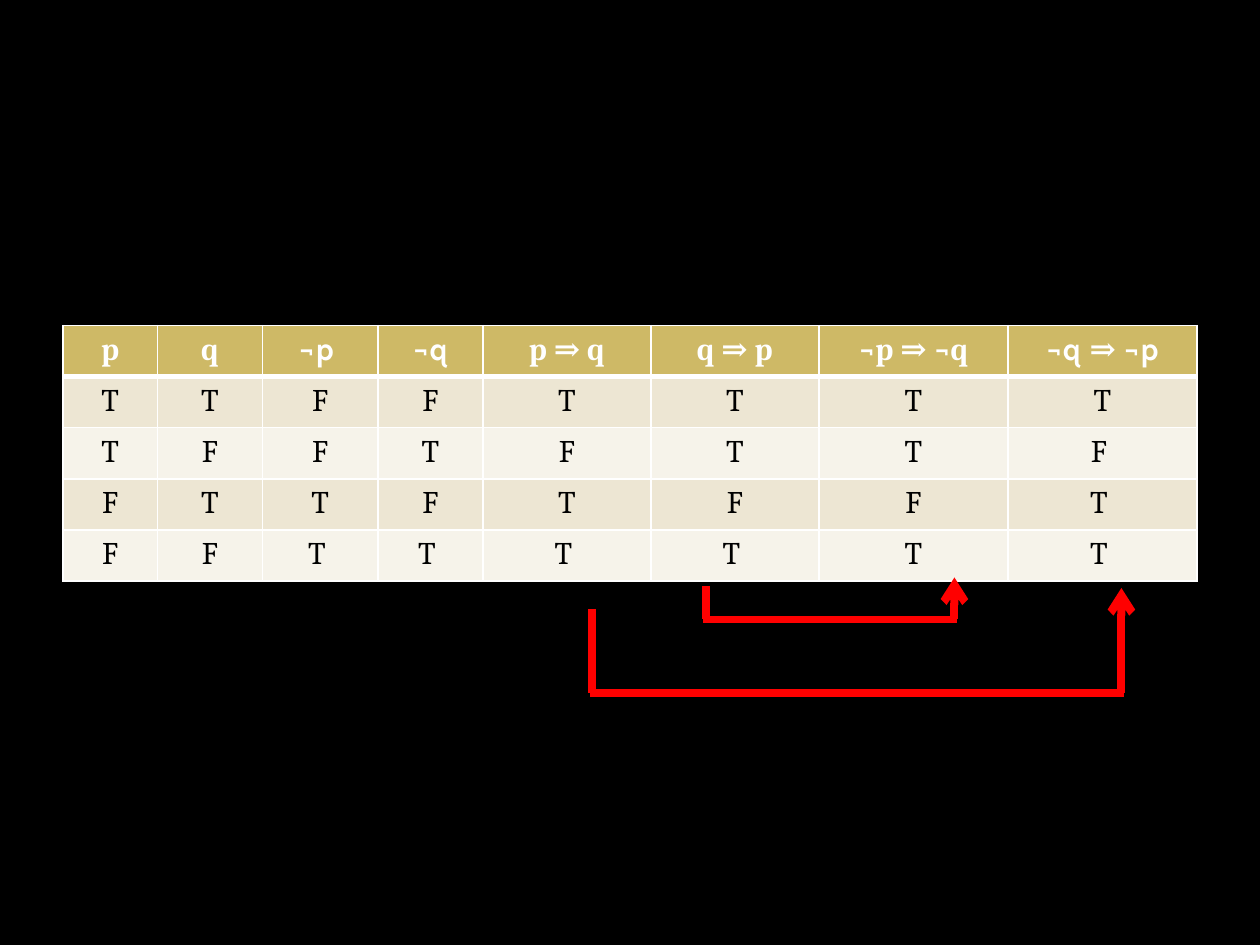
import pptx
import pptx.dml.color
import pptx.enum.shapes
import pptx.enum.text
import pptx.oxml.ns
import pptx.util
from lxml import etree

RGBColor = pptx.dml.color.RGBColor
BLACK = RGBColor(0x00, 0x00, 0x00)
WHITE = RGBColor(0xFF, 0xFF, 0xFF)
GOLD = RGBColor(0xCE, 0xB9, 0x66)
SAND = RGBColor(0xED, 0xE6, 0xD3)
CREAM = RGBColor(0xF6, 0xF3, 0xEA)
RED = RGBColor(0xFF, 0x00, 0x00)

SERIF = "Cambria"
SANS = "Karla"

# Column widths in grid units; each heading is a list of (text, font) runs
COLUMN_WIDTHS = [9, 10, 11, 10, 16, 16, 18, 18]
HEADINGS = [
    [("p", SERIF)],
    [("q", SERIF)],
    [("¬p ", SANS)],
    [("¬q", SANS)],
    [("p ⇒ q", SERIF)],
    [("q ⇒ p", SERIF)],
    [("¬", SANS), ("p ⇒ ", SERIF), ("¬", SANS), ("q", SERIF)],
    [("¬q ", SANS), ("⇒ ", SERIF), ("¬p", SANS)],
]
TRUTH_VALUES = [
    ["T", "T", "F", "F", "T", "T", "T", "T"],
    ["T", "F", "F", "T", "F", "T", "T", "F "],
    ["F", "T", "T", "F", "T", "F", "F", "T "],
    ["F", "F", "T ", "T ", "T ", "T ", "T", "T "],
]


class TruthTableSlide:
    """Style and current slide, on a grid of twelve units to the inch."""

    text_size = pptx.util.Pt(18)
    line_width = pptx.util.Pt(4.5)

    def __init__(self, presentation):
        self.slide = presentation.slides.add_slide(presentation.slide_layouts[6])
        self.unit = presentation.slide_width / 120
        fill = self.slide.background.fill
        fill.solid()
        fill.fore_color.rgb = BLACK

    def length(self, units):
        return round(units * self.unit)

    def table(self, left, top, row_height, widths, headings, values):
        rows = [headings] + [[[(text, SERIF)] for text in row] for row in values]
        box = [left, top, sum(widths), row_height * len(rows)]
        table = self.slide.shapes.add_table(
            len(rows), len(widths), *map(self.length, box)).table
        for column, width in zip(table.columns, widths):
            column.width = self.length(width)
        for row_index, row in enumerate(rows):
            for column_index, runs in enumerate(row):
                self.cell(table.cell(row_index, column_index), runs, row_index)

    def cell(self, cell, runs, row_index):
        is_heading = row_index == 0
        paragraph = cell.text_frame.paragraphs[0]
        paragraph.alignment = pptx.enum.text.PP_ALIGN.CENTER
        paragraph.font.size = self.text_size
        paragraph.font.bold = is_heading
        paragraph.font.color.rgb = WHITE if is_heading else BLACK
        if len(runs) == 1:
            paragraph.font.name = runs[0][1]
        for text, font_name in runs:
            run = paragraph.add_run()
            run.text = text
            if len(runs) > 1:
                run.font.name = font_name
        # Borders come before the fill in the cell properties
        thick_edge = {0: "lnB", 1: "lnT"}.get(row_index)
        for edge in ("lnL", "lnR", "lnT", "lnB"):
            self.border(cell, edge, 3 if edge == thick_edge else 1)
        cell.fill.solid()
        cell.fill.fore_color.rgb = GOLD if is_heading else (CREAM, SAND)[row_index % 2]

    def border(self, cell, edge, points):
        qn = pptx.oxml.ns.qn
        properties = cell._tc.get_or_add_tcPr()
        line = etree.SubElement(properties, qn(f"a:{edge}"), w=str(pptx.util.Pt(points)))
        fill = etree.SubElement(line, qn("a:solidFill"))
        etree.SubElement(fill, qn("a:srgbClr"), val=str(WHITE))

    def line(self, group, start, end, arrow=False):
        qn = pptx.oxml.ns.qn
        connector = group.shapes.add_connector(
            pptx.enum.shapes.MSO_CONNECTOR.STRAIGHT,
            *map(self.length, (*start, *end)))
        connector.line.color.rgb = RED
        connector.line.width = self.line_width
        if arrow:
            etree.SubElement(connector.line._get_or_add_ln(), qn("a:tailEnd"), type="arrow")
        etree.SubElement(connector._element.spPr, qn("a:effectLst"))

    def bracket_arrow(self, left, right, start, bottom, tip):
        """Down from one column, across, and up to another column."""
        overlap = 0.25
        group = self.slide.shapes.add_group_shape()
        self.line(group, (left, start), (left, bottom))
        self.line(group, (left - overlap, bottom), (right + overlap, bottom))
        self.line(group, (right, bottom), (right, tip), arrow=True)


def main():
    presentation = pptx.Presentation()
    presentation.slide_width = pptx.util.Inches(10)
    presentation.slide_height = pptx.util.Inches(7.5)
    slide = TruthTableSlide(presentation)

    # Truth table
    slide.table(6, 31, 4.87, COLUMN_WIDTHS, HEADINGS, TRUTH_VALUES)

    # Arrows joining the equivalent columns
    slide.bracket_arrow(left=56.4, right=106.8, start=58, bottom=66, tip=56)
    slide.bracket_arrow(left=67.2, right=90.9, start=55.8, bottom=59, tip=55)

    presentation.save("out.pptx")


if __name__ == "__main__":
    main()
